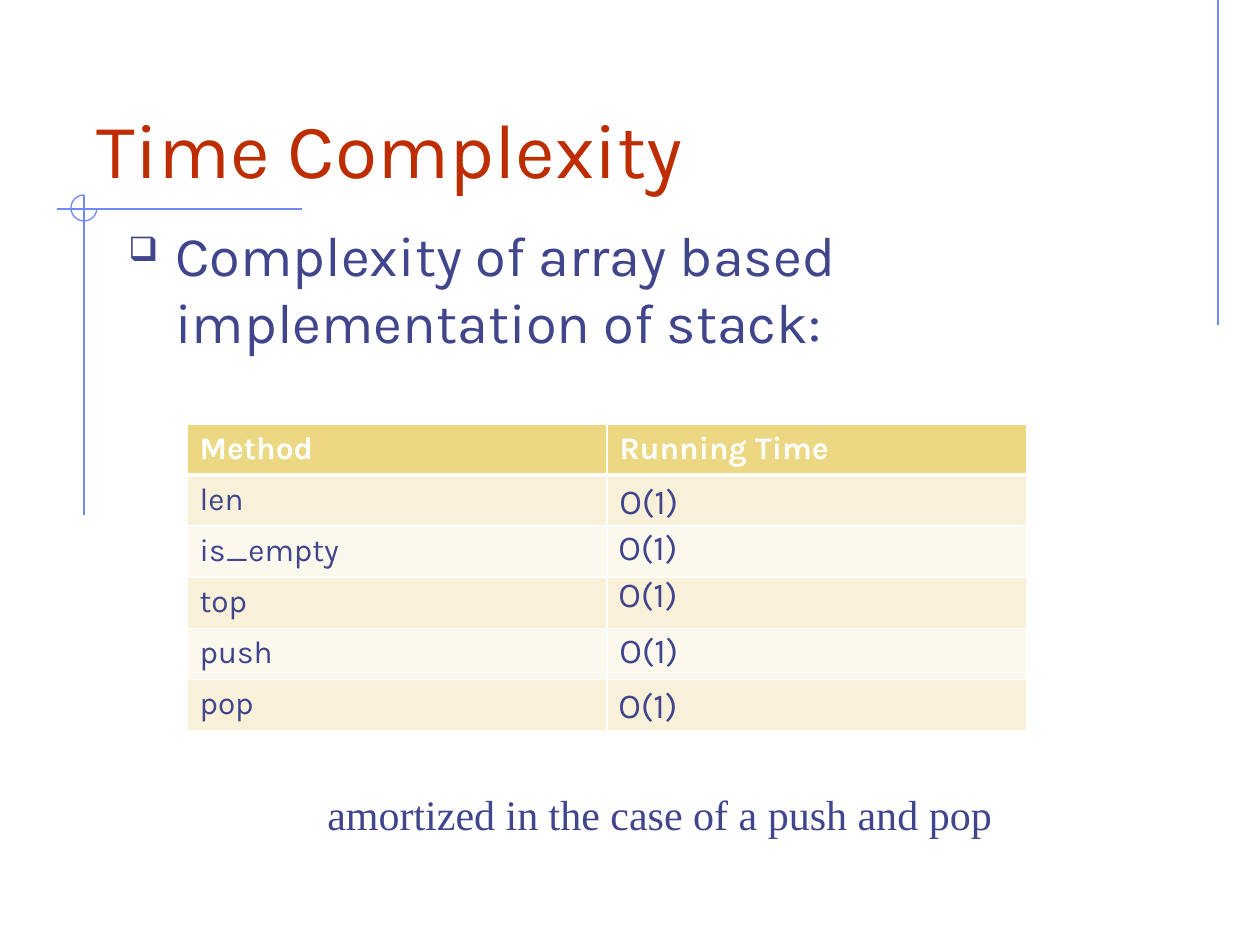
from lxml.etree import SubElement as Sub
from pptx import Presentation
from pptx.dml.color import RGBColor as RGB
from pptx.enum.shapes import MSO_CONNECTOR as Conn, MSO_SHAPE as Shape
from pptx.enum.text import MSO_ANCHOR as Anchor, MSO_AUTO_SIZE as Auto, PP_ALIGN as Align
from pptx.oxml import parse_xml
from pptx.oxml.ns import nsdecls, qn
from pptx.util import Pt

WIDE, HIGH = 1260, 945
INK, RED, RULE, WHITE = "40458C", "BE2D00", "6F89F7", "FFFFFF"
HEAD, BANDS = "ECD882", ("F8F0D8", "FBF8ED")


def px(n):
    return round(n * 914400 / 126)


def paint(code):
    return RGB.from_string(code)


def write(frame, text, size=18, font="Karla", color=INK, bold=False):
    para = frame.paragraphs[0]
    para.alignment = Align.LEFT
    run = para.add_run()
    run.text = text
    run.font.size, run.font.name, run.font.bold = Pt(size), font, bold
    run.font.color.rgb = paint(color)
    return para


def border(cell, side, width):
    return parse_xml(
        f'<a:{side} {nsdecls("a")} w="{Pt(width)}"><a:solidFill>'
        f'<a:srgbClr val="{WHITE}"/></a:solidFill></a:{side}>')


class Page:
    def __init__(self, deck):
        self.slide = deck.slides.add_slide(deck.slide_layouts[5])
        self.shapes = self.slide.shapes

    def title(self, text, *box):
        shape = self.shapes.title
        shape.left, shape.top, shape.width, shape.height = map(px, box)
        frame = shape.text_frame
        frame.auto_size, frame.vertical_anchor = Auto.NONE, Anchor.BOTTOM
        write(frame, text, size=44, color=RED)

    def line(self, *ends):
        line = self.shapes.add_connector(Conn.STRAIGHT, *map(px, ends))
        line.line.color.rgb, line.line.width = paint(RULE), Pt(0.75)
        Sub(line._element.spPr, qn("a:effectLst"))

    def arc(self, *box):
        arc = self.shapes.add_shape(Shape.ARC, *map(px, box))
        arc.shadow.inherit = False
        arc.fill.background()
        arc.line.color.rgb, arc.line.width = paint(RULE), Pt(0.75)
        # Clockwise from the right side round to the top
        arc.adjustments[0], arc.adjustments[1] = 0, 162

    def text(self, text, *box, wrap=False, **style):
        frame = self.shapes.add_textbox(*map(px, box)).text_frame
        frame.word_wrap = wrap
        frame.auto_size = Auto.NONE if wrap else Auto.SHAPE_TO_FIT_TEXT
        return write(frame, text, **style)

    def bullet(self, text, *box):
        para = self.text(text, *box, wrap=True, size=32)
        para.space_before = Pt(6.4)
        props = para._p.get_or_add_pPr()
        props.set("marL", str(px(47)))
        props.set("indent", str(px(-47)))
        Sub(Sub(props, qn("a:buClr")), qn("a:srgbClr"), val=INK)
        Sub(props, qn("a:buSzPct"), val="60000")
        Sub(props, qn("a:buChar"), char="❑")

    def table(self, rows, left, top, wide, high):
        count, cols = len(rows), len(rows[0])
        table = self.shapes.add_table(
            count, cols, px(left), px(top), px(wide * cols), px(high * count)).table
        for r, row in enumerate(rows):
            table.rows[r].height = px(high)
            for c, text in enumerate(row):
                self.cell(table.cell(r, c), text, r)

    def cell(self, cell, text, r):
        cell.fill.solid()
        cell.fill.fore_color.rgb = paint(BANDS[(r - 1) % 2] if r else HEAD)
        if text:
            write(cell.text_frame, text, color=INK if r else WHITE, bold=r == 0)
        widths = {"lnL": 1, "lnR": 1, "lnT": 3 if r == 1 else 1, "lnB": 1 if r else 3}
        props = cell._tc.get_or_add_tcPr()
        for i, (side, width) in enumerate(widths.items()):
            props.insert(i, border(cell, side, width))


def main():
    deck = Presentation()
    deck.slide_width, deck.slide_height = px(WIDE), px(HIGH)
    page = Page(deck)

    # Corner rules
    page.line(1218, 0, 1218, 325)
    page.line(302, 209, 57, 209)
    page.line(84, 195, 84, 515)
    page.arc(71, 195, 26, 26)

    # Title and lead
    page.title("Time Complexity", 84, 42, 1071, 158)
    page.bullet("Complexity of array based implementation of stack:",
                116, 214, 1071, 158)

    # Methods, with the running times set over the second column
    names = ("len", "is_empty", "top", "push", "pop")
    rows = [("Method", "Running Time")] + [(name, "") for name in names]
    page.table(rows, 187, 424, 420, 51)
    for left, top in ((607, 473), (606, 519), (606, 566), (607, 622), (606, 677)):
        page.text("O(1)", left, top, 97, 55, size=20)

    # Footnote
    page.text("amortized in the case of a push and pop", 315, 782, 696, 64,
              size=24, font="Times New Roman")

    deck.save("out.pptx")


if __name__ == "__main__":
    main()
